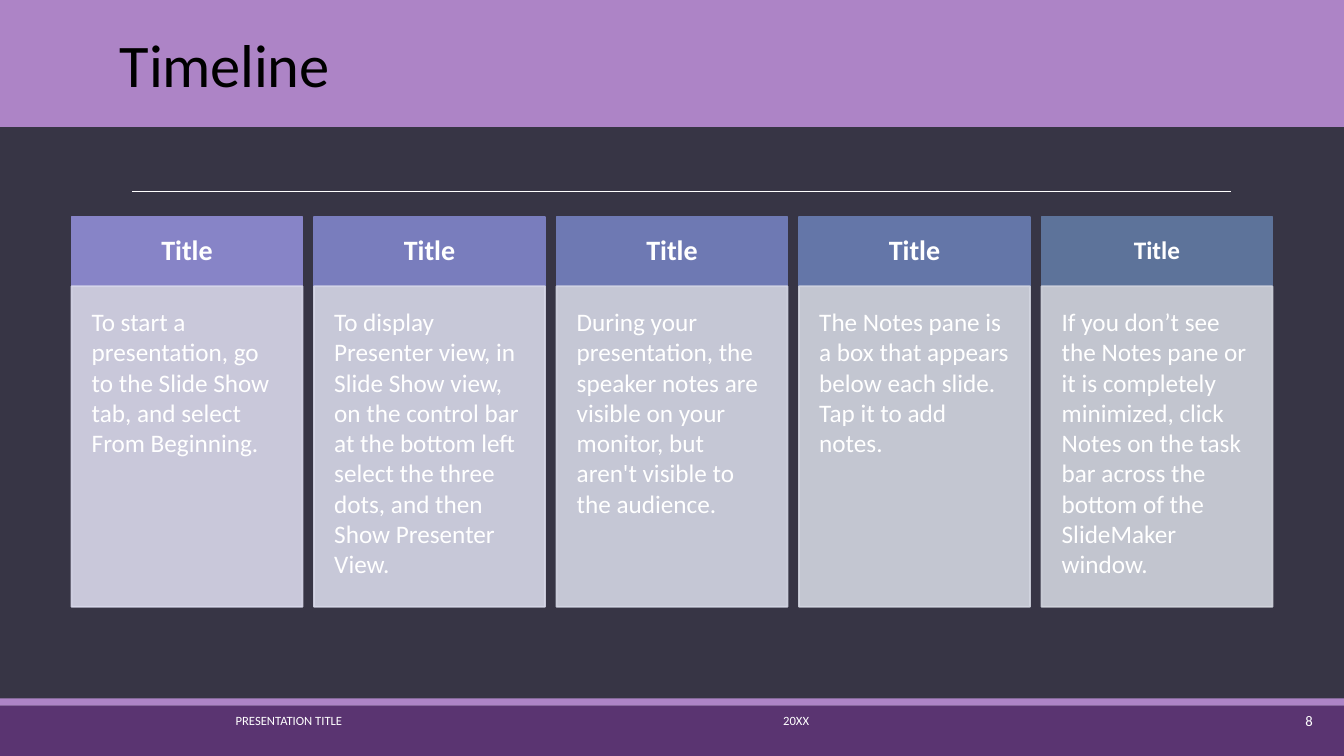
from lxml import etree
from pptx import Presentation
from pptx.dml.color import RGBColor
from pptx.enum.shapes import MSO_CONNECTOR, MSO_SHAPE
from pptx.enum.text import MSO_ANCHOR, MSO_AUTO_SIZE, PP_ALIGN
from pptx.oxml.ns import qn
from pptx.util import Inches, Pt

RECTANGLE = MSO_SHAPE.RECTANGLE
STRAIGHT = MSO_CONNECTOR.STRAIGHT
TOP, MIDDLE = MSO_ANCHOR.TOP, MSO_ANCHOR.MIDDLE
LEFT, CENTER, RIGHT = PP_ALIGN.LEFT, PP_ALIGN.CENTER, PP_ALIGN.RIGHT
NO_AUTOFIT = MSO_AUTO_SIZE.NONE

FONT = "Calibri"
COLORS = {
    "background": "373545",
    "band": "AD84C6",
    "footer": "5A3471",
    "text": "FFFFFF",
    "title": "000000",
}

SLIDE_TITLE = "Timeline"
# heading, heading size, heading color, description, description color
STEPS = [
    ("Title", 20, "8784C7",
     "To start a presentation, go to the Slide Show tab, and select From Beginning.",
     "D9D9EB"),
    ("Title", 20, "797DBD",
     "To display Presenter view, in Slide Show view, on the control bar at the "
     "bottom left select the three dots, and then Show Presenter View.",
     "D7D8E8"),
    ("Title", 20, "6E79B3",
     "During your presentation, the speaker notes are visible on your monitor, "
     "but aren't visible to the audience.",
     "D5D7E5"),
    ("Title", 20, "6476A8",
     "The Notes pane is a box that appears below each slide. Tap it to add notes.",
     "D3D6E1"),
    ("Title", 18, "5D739A",
     "If you don’t see the Notes pane or it is completely minimized, click Notes "
     "on the task bar across the bottom of the SlideMaker window.",
     "D2D5DE"),
]
# text, left, width, size, alignment
FOOTERS = [
    ("PRESENTATION TITLE", 0.22, 5.29, 9, CENTER),
    ("20XX", 7.67, 4.76, 9, LEFT),
    ("8", 12.43, 0.69, 10.5, RIGHT),
]
# left, top, width, height, color
BANDS = [
    (0, 7, 13.33, 0.5, "footer"),
    (0, 6.93, 13.33, 0.07, "band"),
    (0, 0, 13.33, 1.26, "band"),
]

STEP_LEFT, STEP_PITCH, STEP_WIDTH = 0.71, 2.405, 2.29
HEADING_TOP, HEADING_HEIGHT, BODY_HEIGHT = 2.15, 0.69, 3.18


def rgb(color):
    return RGBColor.from_string(color)


def add_box(slide, left, top, width, height, color, outlined=False, opacity=100):
    box = slide.shapes.add_shape(
        RECTANGLE, Inches(left), Inches(top), Inches(width), Inches(height))
    box.shadow.inherit = False
    box.fill.solid()
    box.fill.fore_color.rgb = rgb(color)
    if outlined:
        box.line.color.rgb = rgb(color)
        box.line.width = Pt(1.25)
    else:
        box.line.fill.background()
    if opacity < 100:
        for tint in box._element.spPr.iter(qn("a:srgbClr")):
            etree.SubElement(tint, qn("a:alpha"), val=str(opacity * 1000))
    return box


def write(shape, text, size, color, align=LEFT, anchor=MIDDLE, bold=False, inset=None):
    frame = shape.text_frame
    frame.word_wrap = True
    frame.auto_size = NO_AUTOFIT
    frame.vertical_anchor = anchor
    if inset is not None:
        frame.margin_left = frame.margin_right = Inches(inset)
        frame.margin_top = frame.margin_bottom = Inches(inset)
    paragraph = frame.paragraphs[0]
    paragraph.alignment = align
    run = paragraph.add_run()
    run.text = text
    run.font.name = FONT
    run.font.size = Pt(size)
    run.font.bold = bold
    run.font.color.rgb = rgb(color)
    return run


def add_frame(slide):
    """Draw the colored bands, the rule and the title."""
    for left, top, width, height, color in BANDS:
        add_box(slide, left, top, width, height, COLORS[color])

    rule = slide.shapes.add_connector(
        STRAIGHT, Inches(1.31), Inches(1.9), Inches(12.21), Inches(1.9))
    rule.line.color.rgb = rgb(COLORS["text"])
    rule.line.width = Pt(0.5)
    etree.SubElement(rule._element.spPr, qn("a:effectLst"))

    title = slide.shapes.title
    title.left, title.top = Inches(1.09), Inches(0.21)
    title.width, title.height = Inches(10.96), Inches(0.83)
    run = write(title, SLIDE_TITLE, 43.2, COLORS["title"])
    run.font._element.set("spc", "-20")
    # The title must lie in front of the header band.
    slide.shapes._spTree.append(title._element)


def add_steps(slide):
    for index, (heading, size, heading_color, description, body_color) in enumerate(STEPS):
        left = STEP_LEFT + index * STEP_PITCH
        head = add_box(slide, left, HEADING_TOP, STEP_WIDTH, HEADING_HEIGHT,
                       heading_color, outlined=True)
        write(head, heading, size, COLORS["text"], CENTER, bold=True, inset=0.18)
        head.text_frame.paragraphs[0].line_spacing = 0.9
        body = add_box(slide, left, HEADING_TOP + HEADING_HEIGHT, STEP_WIDTH,
                       BODY_HEIGHT, body_color, outlined=True, opacity=90)
        write(body, description, 18, COLORS["text"], anchor=TOP, inset=0.2)


def add_footers(slide):
    for text, left, width, size, align in FOOTERS:
        footer = slide.shapes.add_textbox(
            Inches(left), Inches(6.95), Inches(width), Inches(0.4))
        write(footer, text, size, COLORS["text"], align)


def main():
    deck = Presentation()
    deck.slide_width, deck.slide_height = Inches(13.33), Inches(7.5)
    slide = deck.slides.add_slide(deck.slide_layouts[5])
    slide.background.fill.solid()
    slide.background.fill.fore_color.rgb = rgb(COLORS["background"])
    add_frame(slide)
    add_steps(slide)
    add_footers(slide)
    deck.save("out.pptx")


if __name__ == "__main__":
    main()
